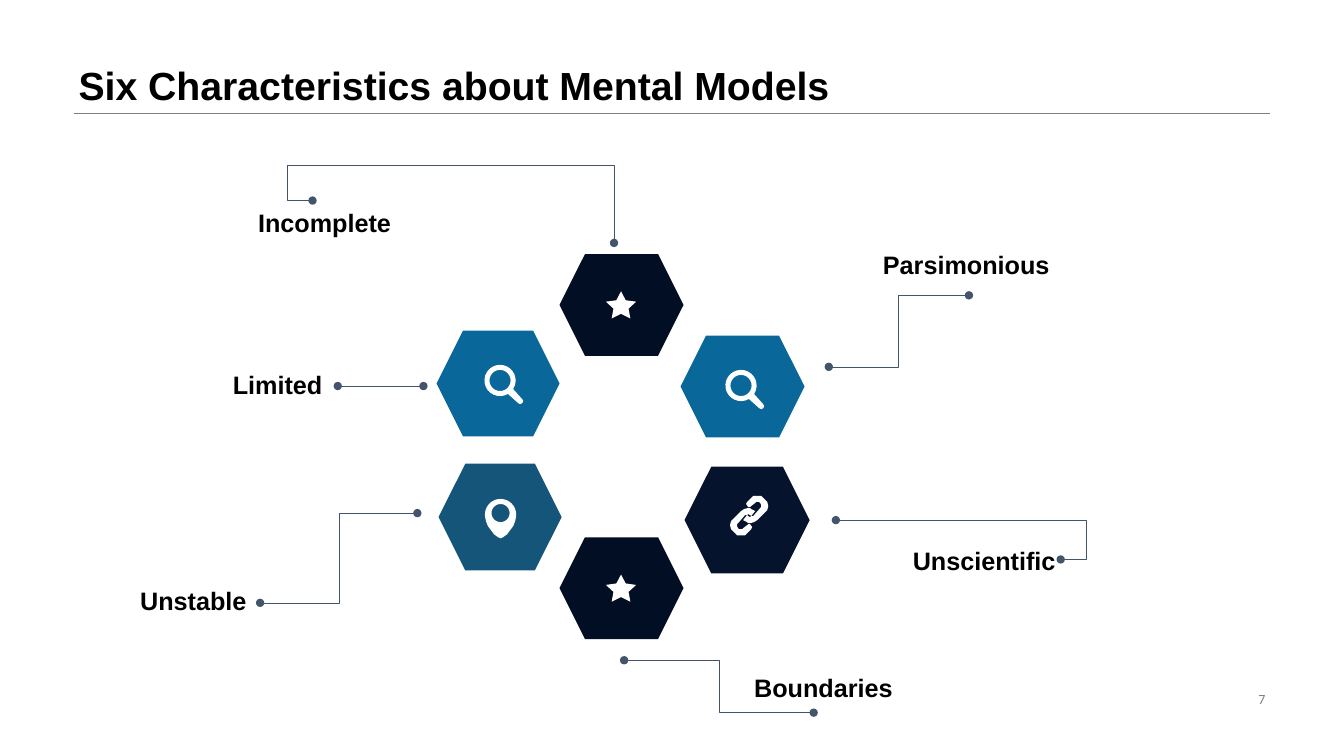
from math import cos, radians, sin

from lxml.etree import SubElement
from pptx import Presentation
from pptx.dml.color import RGBColor
from pptx.enum.shapes import MSO_CONNECTOR, MSO_SHAPE
from pptx.enum.text import MSO_ANCHOR, PP_ALIGN
from pptx.oxml.ns import qn
from pptx.util import Inches, Pt

BLACK = RGBColor(0x00, 0x00, 0x00)
WHITE = RGBColor(0xFF, 0xFF, 0xFF)
GRAY = RGBColor(0x80, 0x80, 0x80)
SLATE = RGBColor(0x44, 0x54, 0x6A)
BLUE = RGBColor(0x0A, 0x67, 0x99)
TEAL = RGBColor(0x14, 0x55, 0x79)
NAVY = RGBColor(0x05, 0x13, 0x2C)
MIDNIGHT = RGBColor(0x01, 0x0E, 0x23)

# left, top, width, height, fill, icon, icon offset
BADGES = [
    (4.33, 3.28, 1.22, 1.05, BLUE, "magnifier", (0.48, 0.34)),
    (6.79, 4.63, 1.24, 1.06, NAVY, "link", (0.45, 0.29)),
    (4.35, 4.60, 1.22, 1.06, TEAL, "pin", (0.46, 0.35)),
    (5.55, 2.52, 1.23, 1.01, MIDNIGHT, "star", (0.46, 0.37)),
    (5.55, 5.33, 1.23, 1.01, MIDNIGHT, "star", (0.46, 0.37)),
    (6.75, 3.33, 1.23, 1.01, BLUE, "magnifier", (0.45, 0.34)),
]

# label, left, top, width, alignment, leader start within the label box,
# leader runs (horizontal and vertical in turn)
CALLOUTS = [
    ("Incomplete", 2.51, 1.99, 1.44, PP_ALIGN.LEFT, (0.59, 0), (-0.25, -0.35, 3.24, 0.77)),
    ("Unstable", 1.34, 5.74, 1.17, PP_ALIGN.LEFT, (1.24, 0.24), (0.78, -0.89, 0.78)),
    ("Parsimonious", 8.69, 2.40, 1.77, PP_ALIGN.RIGHT, (0.92, 0.53), (-0.7, 0.71, -0.69)),
    ("Unscientific", 8.99, 5.34, 1.53, PP_ALIGN.RIGHT, (1.53, 0.21), (0.25, -0.39, -2.48)),
    ("Limited", 2.26, 3.59, 1.07, PP_ALIGN.LEFT, (1.09, 0.24), (0.85,)),
    ("Boundaries", 7.43, 6.60, 1.56, PP_ALIGN.LEFT, (0.64, 0.47), (-0.94, -0.52, -0.94)),
]


def arc(center_x, center_y, radius, start=0, end=360, steps=24):
    """Points along an arc, in degrees clockwise from the right."""
    angles = [radians(start + (end - start) * i / steps) for i in range(steps + 1)]
    return [(center_x + radius * cos(a), center_y + radius * sin(a)) for a in angles]


def magnifier_contours():
    handle = [(28, 24), (37, 34), (38, 36), (37, 38), (35, 39), (33, 38), (23, 29)]
    return [arc(15, 15.5, 10.5), arc(15, 15.5, 15.5, 60, 393) + handle]


def pin_contours():
    right = [(31, 17), (30, 22), (28, 27), (25, 31), (22, 35), (18, 38)]
    left = [(31 - x, y) for x, y in reversed(right)]
    return [arc(15.5, 14, 9), arc(15.5, 15.5, 15.5, 180, 360) + right + [(15.5, 39)] + left]


def link_contours():
    """Two chain links, the second being the first turned by half a circle."""
    lower = [
        (18, 12), (20, 12), (21, 13), (23, 14), (25, 15), (21, 20), (20, 19),
        (18, 18), (17, 19), (15, 19), (8, 27), (7, 28), (7, 30), (8, 32),
        (9, 33), (12, 33), (13, 32), (17, 29), (18, 28), (20, 28), (22, 31),
        (21, 33), (18, 36), (15, 39), (11, 39), (7, 39), (4, 36), (1, 33),
        (0, 29), (1, 25), (4, 22), (11, 15), (14, 13),
    ]
    return [lower, [(38 - x, 39 - y) for x, y in lower]]


# outlines in hundredths of an inch
ICON_CONTOURS = {
    "magnifier": magnifier_contours(),
    "pin": pin_contours(),
    "link": link_contours(),
}


def add_outline(shapes, contours, close=True):
    """Freeform through contours whose points are in inches."""
    emu = [[(Inches(x), Inches(y)) for x, y in contour] for contour in contours]
    builder = shapes.build_freeform(*emu[0][0])
    builder.add_line_segments(emu[0][1:], close=close)
    for contour in emu[1:]:
        builder.move_to(*contour[0])
        builder.add_line_segments(contour[1:], close=close)
    return builder.convert_to_shape()


def paint(shape, color):
    shape.shadow.inherit = False
    shape.fill.solid()
    shape.fill.fore_color.rgb = color
    shape.line.fill.background()


def add_text(shapes, text, box, font, size, color, bold=False,
             align=PP_ALIGN.LEFT, anchor=MSO_ANCHOR.BOTTOM, wrap=False):
    frame = shapes.add_textbox(*map(Inches, box)).text_frame
    frame.word_wrap = wrap
    frame.vertical_anchor = anchor
    frame.margin_left = frame.margin_right = Inches(0.05)
    frame.margin_top = frame.margin_bottom = Inches(0.05)
    frame.text = text
    paragraph = frame.paragraphs[0]
    paragraph.alignment = align
    run_font = paragraph.runs[0].font
    run_font.name, run_font.size, run_font.bold = font, Pt(size), bold
    run_font.color.rgb = color
    return paragraph


def add_straight_line(shapes, start, end, color):
    line = shapes.add_connector(MSO_CONNECTOR.STRAIGHT, *map(Inches, (*start, *end)))
    line.line.color.rgb = color
    line.line.width = Pt(0.25)
    SubElement(line._element.spPr, qn("a:effectLst"))
    return line


def add_leader(shapes, start, runs):
    """Right-angled line with a dot at both ends."""
    points = [start]
    for i, run in enumerate(runs):
        x, y = points[-1]
        points.append((x, y + run) if i % 2 else (x + run, y))
    if len(points) == 2:
        leader = add_straight_line(shapes, *points, SLATE)
    else:
        leader = add_outline(shapes, [points], close=False)
        leader.shadow.inherit = False
        leader.fill.background()
        leader.line.color.rgb = SLATE
        leader.line.width = Pt(0.25)
    outline = leader._element.spPr.find(qn("a:ln"))
    for end in ("a:headEnd", "a:tailEnd"):
        SubElement(outline, qn(end), type="oval")


def add_heading(shapes, left, top, width, height):
    title = add_text(shapes, "Six Characteristics about Mental Models",
                     (left, top, width, height), "Arial", 28, BLACK, bold=True, wrap=True)
    title.line_spacing = 0.9
    rule_y = top + height - 0.01
    add_straight_line(shapes, (left, rule_y), (left + width, rule_y), GRAY)


def add_badge(shapes, left, top, width, height, fill, icon, offset):
    """Hexagon with a white icon."""
    hexagon = shapes.add_shape(MSO_SHAPE.HEXAGON, *map(Inches, (left, top, width, height)))
    paint(hexagon, fill)
    icon_left, icon_top = left + offset[0], top + offset[1]
    if icon == "star":
        symbol = shapes.add_shape(MSO_SHAPE.STAR_5_POINT,
                                  *map(Inches, (icon_left, icon_top, 0.3, 0.27)))
        symbol.adjustments[0] = 0.25
    else:
        symbol = add_outline(shapes, [
            [(icon_left + x / 100, icon_top + y / 100) for x, y in contour]
            for contour in ICON_CONTOURS[icon]])
    paint(symbol, WHITE)


def add_callout(shapes, label, left, top, width, align, start, runs):
    add_leader(shapes, (left + start[0], top + start[1]), runs)
    add_text(shapes, label, (left, top, width, 0.42), "Arial", 18, BLACK,
             bold=True, align=align)


def main():
    deck = Presentation()
    deck.slide_width, deck.slide_height = Inches(13.33), Inches(7.5)
    shapes = deck.slides.add_slide(deck.slide_layouts[6]).shapes
    add_heading(shapes, 0.73, 0, 11.87, 1.13)
    for badge in BADGES:
        add_badge(shapes, *badge)
    for callout in CALLOUTS:
        add_callout(shapes, *callout)
    add_text(shapes, "7", (12.41, 6.81, 0.19, 0.25), "Calibri", 10, GRAY,
             align=PP_ALIGN.RIGHT, anchor=MSO_ANCHOR.MIDDLE)
    deck.save("out.pptx")


if __name__ == "__main__":
    main()
